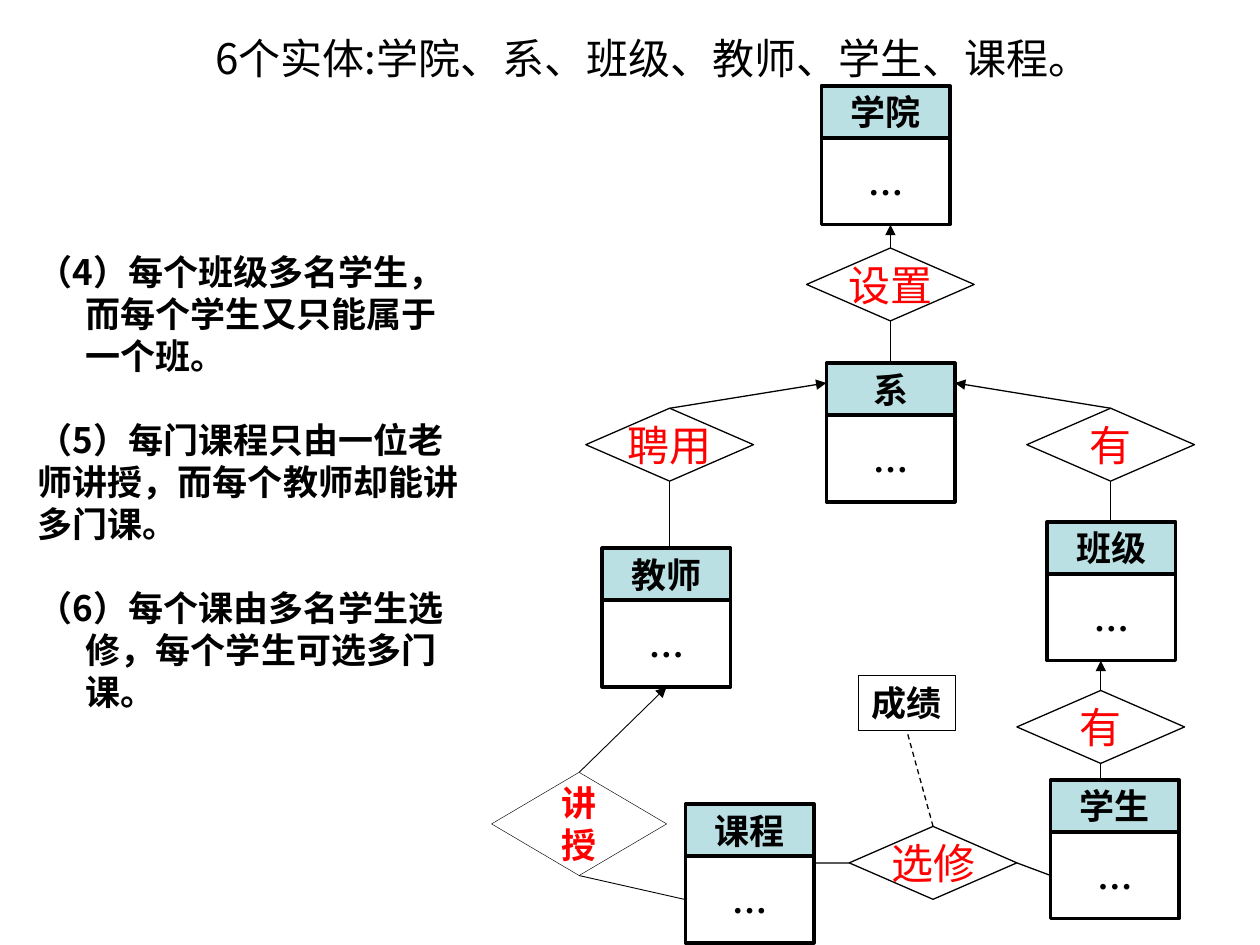
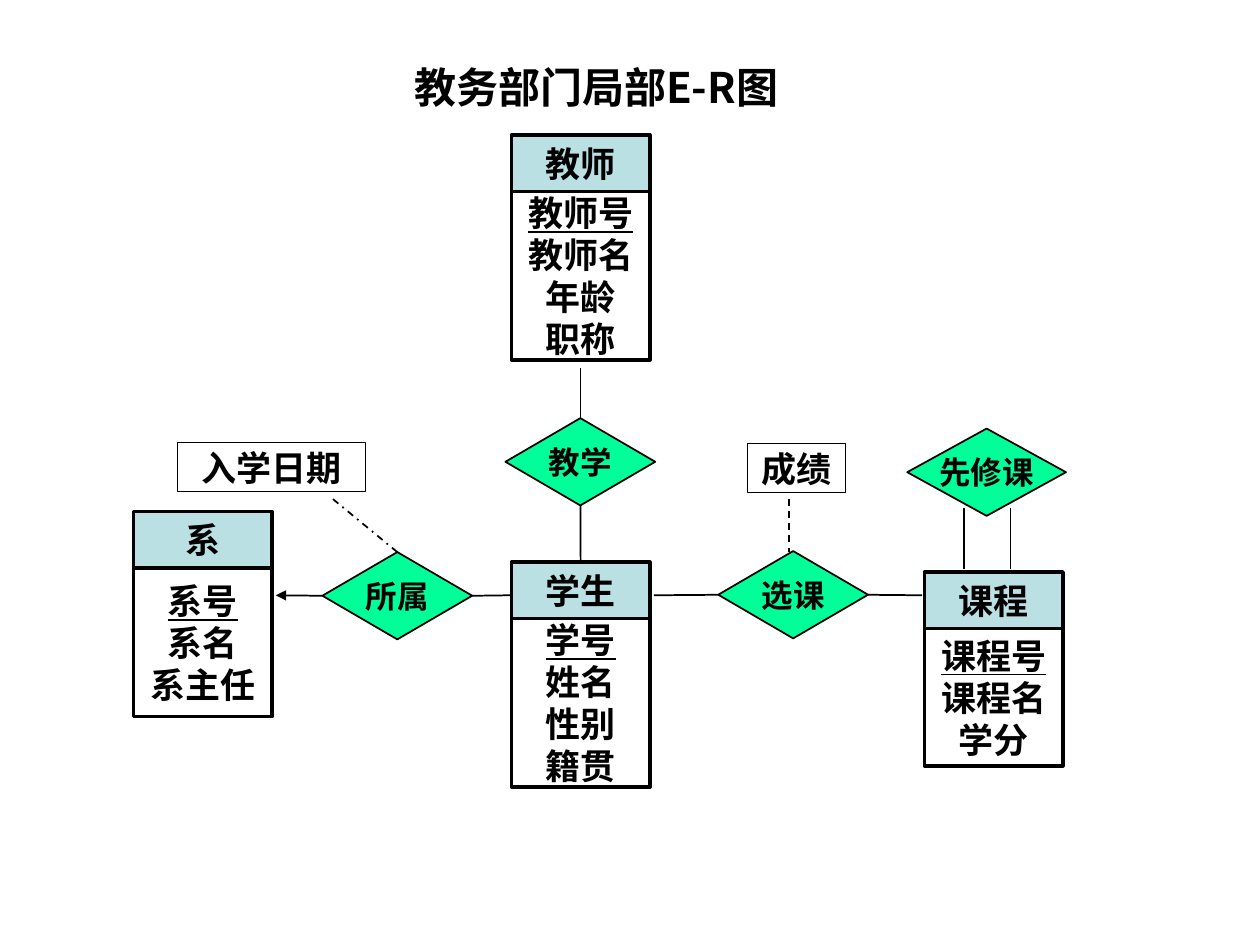
from dataclasses import dataclass

from lxml import etree
from pptx import Presentation
from pptx.dml.color import RGBColor
from pptx.enum.dml import MSO_LINE
from pptx.enum.shapes import MSO_CONNECTOR, MSO_SHAPE
from pptx.enum.text import MSO_ANCHOR, PP_ALIGN
from pptx.oxml.ns import qn
from pptx.util import Cm, Pt

RECTANGLE = MSO_SHAPE.RECTANGLE
DECISION = MSO_SHAPE.FLOWCHART_DECISION
STRAIGHT = MSO_CONNECTOR.STRAIGHT
DASH = MSO_LINE.DASH
DASH_DOT = MSO_LINE.DASH_DOT
CENTER = PP_ALIGN.CENTER
LEFT = PP_ALIGN.LEFT
MIDDLE = MSO_ANCHOR.MIDDLE
TOP, LEFT_SIDE, BOTTOM, RIGHT_SIDE = range(4)


@dataclass(frozen=True)
class Theme:
    black: RGBColor = RGBColor(0, 0, 0)
    white: RGBColor = RGBColor(255, 255, 255)
    red: RGBColor = RGBColor(255, 0, 0)
    header: RGBColor = RGBColor(0xBB, 0xE0, 0xE3)
    green: RGBColor = RGBColor(0x00, 0xFF, 0x99)
    title_size: int = 24
    text_size: int = 20
    small_size: int = 18
    text_font: str = "Noto Sans CJK JP"
    diamond_font: str = "Noto Sans CJK SC"
    entity_font: str = "Times New Roman"


class Diagram:
    def __init__(self, deck, theme):
        self.deck = deck
        self.theme = theme
        self.slide = None

    def page(self):
        self.slide = self.deck.slides.add_slide(self.deck.slide_layouts[6])

    def set_text(self, box, text, font, size, color, bold, align):
        frame = box.text_frame
        frame.text = text
        east_asian = self.theme.diamond_font if font == self.theme.entity_font else font
        for para in frame.paragraphs:
            para.alignment = align
            for span in para.runs:
                span.font.name = font
                span.font.size = Pt(size)
                span.font.bold = bold
                span.font.color.rgb = color
                latin = span.font._element.find(qn("a:latin"))
                face = etree.Element(qn("a:ea"), typeface=east_asian)
                latin.addnext(face)

    def text(self, left, top, width, height, text, size, bold=True):
        box = self.slide.shapes.add_textbox(Cm(left), Cm(top), Cm(width), Cm(height))
        box.text_frame.word_wrap = True
        self.set_text(box, text, self.theme.text_font, size, self.theme.black, bold, LEFT)
        return box

    def title(self, left, top, width, text, bold):
        self.text(left, top, width, 1.3, text, self.theme.title_size, bold)

    def rules(self, left, top, width, height, rules):
        size = self.theme.text_size
        box = self.text(left, top, width, height, "\n".join(text for text, _ in rules), size)
        for number, (para, (_, hanging)) in enumerate(zip(box.text_frame.paragraphs, rules)):
            if number:
                para.space_before = Pt(24)
            if hanging:
                properties = para._p.get_or_add_pPr()
                properties.set("marL", str(Cm(0.97)))
                properties.set("indent", str(-Cm(0.97)))

    def shape(self, kind, left, top, width, height, fill, line_width):
        shape = self.slide.shapes.add_shape(kind, Cm(left), Cm(top), Cm(width), Cm(height))
        shape.shadow.inherit = False
        if fill is None:
            shape.fill.background()
        else:
            shape.fill.solid()
            shape.fill.fore_color.rgb = fill
        shape.line.color.rgb = self.theme.black
        shape.line.width = Pt(line_width)
        shape.text_frame.vertical_anchor = MIDDLE
        return shape

    def label(self, left, top, width, height, text, fill, line_width):
        box = self.shape(RECTANGLE, left, top, width, height, fill, line_width)
        box.text_frame.word_wrap = True
        theme = self.theme
        self.set_text(box, text, theme.entity_font, theme.text_size, theme.black, True, CENTER)
        return box

    def note(self, left, top, width, height, text):
        return self.label(left, top, width, height, text, self.theme.white, 0.5)

    def entity(self, left, top, width, header_height, body_height, name, fields):
        header = self.label(left, top, width, header_height, name, self.theme.header, 2)
        body = self.label(left, top + header_height, width, body_height,
                          "\n".join(fields), self.theme.white, 2)
        if len(fields) > 1:
            body.text_frame.paragraphs[0].runs[0].font.underline = True
        return header, body

    def diamond(self, left, top, width, height, text, size, color, bold,
                fill=None, line_width=0.75, wrap=False):
        box = self.shape(DECISION, left, top, width, height, fill, line_width)
        box.text_frame.word_wrap = wrap
        self.set_text(box, text, self.theme.diamond_font, size, color, bold, CENTER)
        return box

    def line(self, start, end, width, arrow=False, dash=None):
        connector = self.slide.shapes.add_connector(STRAIGHT, 0, 0, 0, 0)
        if isinstance(start[0], (int, float)):
            connector.begin_x, connector.begin_y = Cm(start[0]), Cm(start[1])
        else:
            connector.begin_connect(*start)
        if isinstance(end[0], (int, float)):
            connector.end_x, connector.end_y = Cm(end[0]), Cm(end[1])
        else:
            connector.end_connect(*end)
        connector.line.color.rgb = self.theme.black
        connector.line.width = Pt(width)
        if dash is not None:
            connector.line.dash_style = dash
        properties = connector._element.spPr
        if arrow:
            etree.SubElement(properties.find(qn("a:ln")), qn("a:tailEnd"), type="triangle")
        etree.SubElement(properties, qn("a:effectLst"))


def build_entities_page(diagram):
    theme = diagram.theme
    diagram.page()
    diagram.title(4.09, 0.53, 19.13, "6个实体:学院、系、班级、教师、学生、课程。", False)
    diagram.rules(0.51, 4.93, 9.09, 9.65, [
        ("（4）每个班级多名学生，而每个学生又只能属于一个班。", True),
        ("（5）每门课程只由一位老师讲授，而每个教师却能讲多门课。", False),
        ("（6）每个课由多名学生选修，每个学生可选多门课。", True),
    ])

    bodies = {}
    for name, left, top in [
        ("学院", 16.56, 1.73), ("系", 16.66, 7.32), ("班级", 21.11, 10.52),
        ("教师", 12.14, 11.05), ("学生", 21.18, 15.72), ("课程", 13.82, 16.21),
    ]:
        _, bodies[name] = diagram.entity(left, top, 2.59, 1.05, 1.75, name, ["…"])

    founds, has_class, employs, has_student, takes = [
        diagram.diamond(left, top, 3.38, 1.47, text, theme.title_size, theme.red, False)
        for text, left, top in [
            ("设置", 16.26, 5), ("有", 20.7, 8.23), ("聘用", 11.81, 8.23),
            ("有", 20.5, 13.92), ("选修", 17.12, 16.66),
        ]
    ]
    teaches = diagram.diamond(9.91, 15.57, 3.53, 2.08, "讲授", theme.text_size, theme.red,
                              True, theme.white, 0.25, True)
    grade = diagram.note(17.3, 13.61, 1.96, 1.12, "成绩")

    for relation, target, source in [
        (founds, (17.95, 4.53), (17.95, 7.32)),
        (has_class, (19.25, 7.72), (22.39, 10.52)),
        (employs, (16.66, 7.72), (13.5, 11.05)),
        (has_student, (22.19, 13.32), (22.19, 15.72)),
    ]:
        diagram.line((relation, TOP), target, 0.75, arrow=True)
        diagram.line((relation, BOTTOM), source, 0.75)
    diagram.line((teaches, TOP), (bodies["教师"], BOTTOM), 0.5, arrow=True)
    diagram.line((teaches, BOTTOM), (bodies["课程"], LEFT_SIDE), 0.5)
    diagram.line((takes, LEFT_SIDE), (16.41, 17.4), 0.75)
    diagram.line((takes, RIGHT_SIDE), (21.18, 17.65), 0.75)
    diagram.line((takes, TOP), (grade, BOTTOM), 0.75, dash=DASH)


def build_teaching_page(diagram):
    theme = diagram.theme
    diagram.page()
    diagram.title(8.1, 1.12, 7.95, "教务部门局部E-R图", True)

    headers = {}
    for name, left, top, body_height, fields in [
        ("教师", 10.31, 2.72, 3.4, ["教师号", "教师名", "年龄", "职称"]),
        ("系", 2.69, 10.31, 3, ["系号", "系名", "系主任"]),
        ("学生", 10.31, 11.33, 3.4, ["学号", "姓名", "性别", "籍贯"]),
        ("课程", 18.64, 11.53, 2.77, ["课程号", "课程名", "学分"]),
    ]:
        headers[name], _ = diagram.entity(left, top, 2.79, 1.14, body_height, name, fields)

    teaches, belongs, selects, _ = [
        diagram.diamond(left, top, width, 1.76, text, theme.small_size, theme.black,
                        True, theme.green, 1)
        for text, left, top, width in [
            ("教学", 10.19, 8.43, 3.02), ("所属", 6.5, 11.13, 3.02),
            ("选课", 14.48, 11.11, 3.02), ("先修课", 18.29, 8.64, 3.2),
        ]
    ]
    diagram.note(3.58, 8.92, 3.78, 0.99, "入学日期")
    diagram.note(15.06, 8.94, 1.98, 0.99, "成绩")

    diagram.line((teaches, TOP), (11.7, 7.42), 1)
    diagram.line((teaches, BOTTOM), (headers["学生"], TOP), 1)
    diagram.line((belongs, TOP), (6.71, 10.06), 1, dash=DASH_DOT)
    diagram.line((belongs, LEFT_SIDE), (5.56, 12), 1, arrow=True)
    diagram.line((belongs, RIGHT_SIDE), (10.29, 12), 1)
    diagram.line((15.9, 10.06), (15.9, 11.13), 1, dash=DASH)
    diagram.line((selects, LEFT_SIDE), (13.18, 12), 1)
    diagram.line((selects, RIGHT_SIDE), (18.59, 12), 1)
    for course_line in (19.43, 20.37):
        diagram.line((course_line, 10.24), (course_line, 11.48), 1)


def main():
    deck = Presentation()
    deck.slide_width, deck.slide_height = Cm(25.4), Cm(19.05)
    diagram = Diagram(deck, Theme())
    build_entities_page(diagram)
    build_teaching_page(diagram)
    deck.save("out.pptx")


if __name__ == "__main__":
    main()
